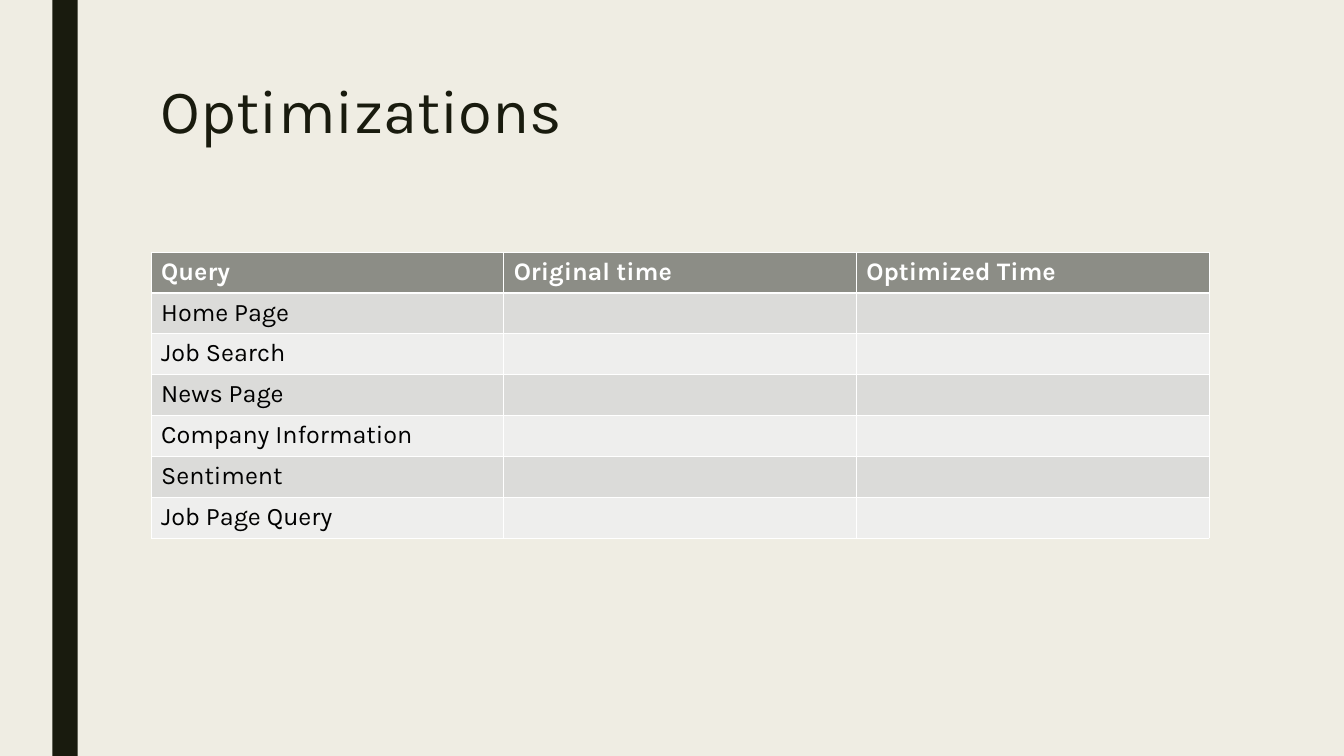
from lxml.etree import SubElement
from pptx import Presentation
from pptx.dml.color import RGBColor
from pptx.enum.shapes import MSO_SHAPE
from pptx.enum.text import MSO_ANCHOR
from pptx.oxml.ns import qn
from pptx.util import Inches, Pt

COLORS = {
    "background": "EFEDE3",
    "ink": "191B0E",
    "header": "8C8D86",
    "odd_row": "DBDBD9",
    "even_row": "EEEEED",
    "body_text": "000000",
    "white": "FFFFFF",
}
FONT = "Karla"
SLIDE_WIDTH, SLIDE_HEIGHT = 13.34, 7.5
CONTENT_LEFT, CONTENT_WIDTH = 1.5, 10.5
TABLE_TOP, TABLE_HEIGHT = 2.5, 2.84
THIN, THICK = 0.45, 1.47

HEADINGS = ["Query", "Original time", "Optimized Time"]
QUERIES = ["Home Page", "Job Search", "News Page",
           "Company Information", "Sentiment", "Job Page Query"]


def paint(fill, color):
    fill.solid()
    fill.fore_color.rgb = RGBColor.from_string(COLORS[color])


def add_run(paragraph, text, size, color, bold=False):
    run = paragraph.add_run()
    run.text = text
    run.font.name = FONT
    run.font.size = Pt(size)
    run.font.bold = bold
    run.font.color.rgb = RGBColor.from_string(COLORS[color])


def add_side_bar(slide):
    bar = slide.shapes.add_shape(MSO_SHAPE.RECTANGLE, Inches(0.52), 0,
                                 Inches(0.25), Inches(SLIDE_HEIGHT))
    bar.shadow.inherit = False
    paint(bar.fill, "ink")
    bar.line.fill.background()


def add_title(slide, text):
    title = slide.shapes.add_textbox(Inches(CONTENT_LEFT), Inches(0.75),
                                     Inches(CONTENT_WIDTH), Inches(1.63))
    frame = title.text_frame
    frame.word_wrap = True
    frame.vertical_anchor = MSO_ANCHOR.TOP
    frame.paragraphs[0].line_spacing = 0.89
    add_run(frame.paragraphs[0], text, 44, "ink")


def set_borders(cell, top, bottom):
    properties = cell._tc.get_or_add_tcPr()
    widths = {"lnL": THIN, "lnR": THIN, "lnT": top, "lnB": bottom}
    for position, (side, width) in enumerate(widths.items()):
        border = SubElement(properties, qn(f"a:{side}"), w=str(Pt(width)))
        fill = SubElement(border, qn("a:solidFill"))
        SubElement(fill, qn("a:srgbClr"), val=COLORS["white"])
        # Borders come before the fill in the cell properties
        properties.insert(position, border)


def fill_cell(cell, text, row):
    is_header = row == 0
    banding = "odd_row" if row % 2 else "even_row"
    paint(cell.fill, "header" if is_header else banding)
    set_borders(cell, top=THICK if row == 1 else THIN,
                bottom=THICK if is_header else THIN)
    if text:
        add_run(cell.text_frame.paragraphs[0], text, 18,
                "white" if is_header else "body_text", bold=is_header)


def add_timing_table(slide):
    entries = [HEADINGS] + [[query, "", ""] for query in QUERIES]
    timings = slide.shapes.add_table(
        len(entries), len(HEADINGS), Inches(CONTENT_LEFT), Inches(TABLE_TOP),
        Inches(CONTENT_WIDTH), Inches(TABLE_HEIGHT)).table
    for row, entry in enumerate(entries):
        for column, text in enumerate(entry):
            fill_cell(timings.cell(row, column), text, row)


def main():
    deck = Presentation()
    deck.slide_width = Inches(SLIDE_WIDTH)
    deck.slide_height = Inches(SLIDE_HEIGHT)
    slide = deck.slides.add_slide(deck.slide_layouts[6])

    # Background and side bar
    paint(slide.background.fill, "background")
    add_side_bar(slide)

    # Title and query timings
    add_title(slide, "Optimizations")
    add_timing_table(slide)

    deck.save("out.pptx")


if __name__ == "__main__":
    main()
